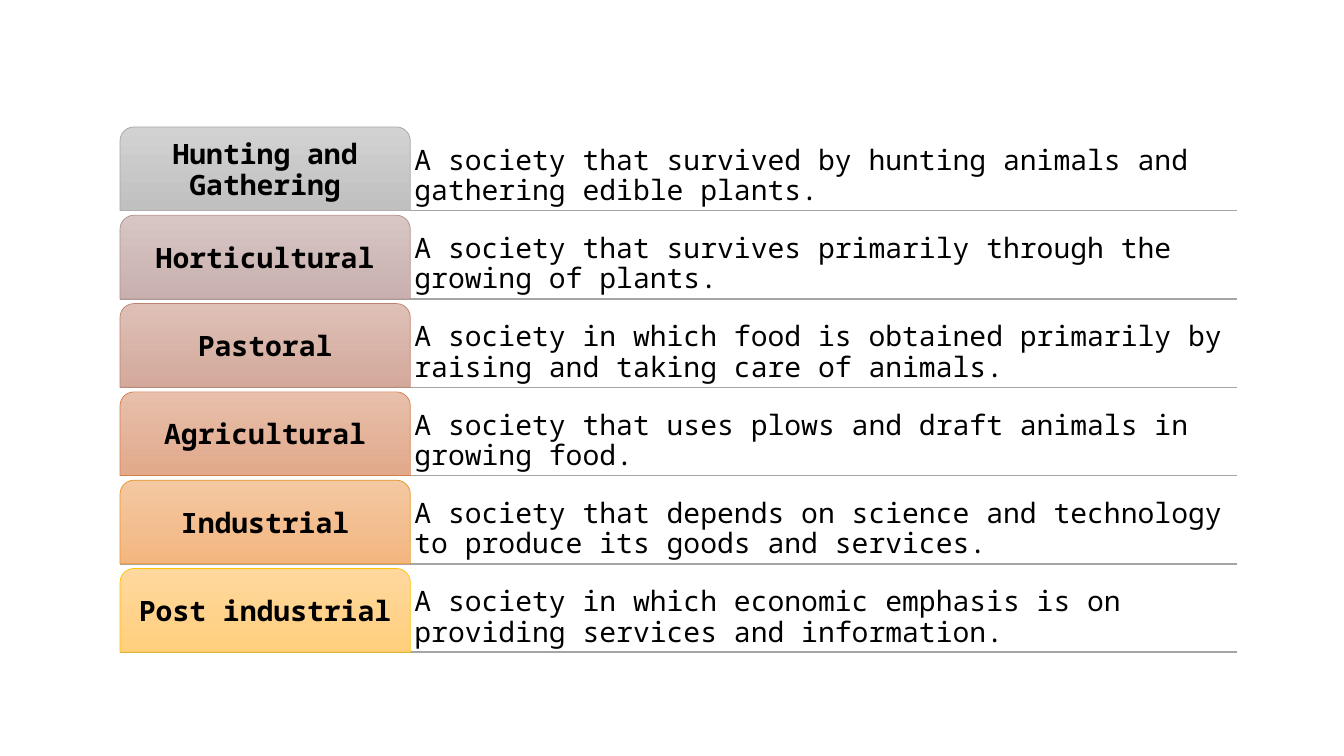
from pptx import Presentation
from pptx.dml.color import RGBColor
from pptx.enum.shapes import MSO_CONNECTOR, MSO_SHAPE
from pptx.enum.text import MSO_ANCHOR, PP_ALIGN
from pptx.oxml.ns import qn
from pptx.util import Inches, Pt
from lxml import etree

BLACK = RGBColor(0x00, 0x00, 0x00)
GRAY = RGBColor(0xA5, 0xA5, 0xA5)

# Name, definition, gradient top, gradient bottom, outline
SOCIETIES = [
    ("Hunting and Gathering",
     "A society that survived by hunting animals and gathering edible plants.",
     RGBColor(0xD2, 0xD2, 0xD2), RGBColor(0xC0, 0xC0, 0xC0), GRAY),
    ("Horticultural",
     "A society that survives primarily through the growing of plants.",
     RGBColor(0xD7, 0xC6, 0xC4), RGBColor(0xC9, 0xB0, 0xAE), RGBColor(0xB1, 0x90, 0x8A)),
    ("Pastoral",
     "A society in which food is obtained primarily by raising and taking care of animals.",
     RGBColor(0xDE, 0xC0, 0xB7), RGBColor(0xD4, 0xA9, 0x9B), RGBColor(0xC0, 0x80, 0x6C)),
    ("Agricultural",
     "A society that uses plows and draft animals in growing food.",
     RGBColor(0xE7, 0xBF, 0xAB), RGBColor(0xE2, 0xA9, 0x8B), RGBColor(0xD2, 0x7E, 0x4B)),
    ("Industrial",
     "A society that depends on science and technology to produce its goods and services.",
     RGBColor(0xF4, 0xC8, 0xA2), RGBColor(0xF3, 0xB6, 0x80), RGBColor(0xE7, 0x96, 0x27)),
    ("Post industrial",
     "A society in which economic emphasis is on providing services and information.",
     RGBColor(0xFF, 0xD8, 0x9E), RGBColor(0xFF, 0xCF, 0x7C), RGBColor(0xFF, 0xC0, 0x00)),
]

LEFT, TOP, RIGHT = 1.19, 1.26, 12.27
TAB_W, ROW_H, PITCH = 2.88, 0.83, 0.876


def write(sp, text, anchor, align, bold):
    tf = sp.text_frame
    tf.word_wrap = True
    tf.vertical_anchor = anchor
    tf.margin_left = tf.margin_right = Inches(0.04)
    tf.margin_top = tf.margin_bottom = Inches(0.04)
    p = tf.paragraphs[0]
    p.alignment = align
    p.line_spacing = 0.9
    r = p.add_run()
    r.text = text
    r.font.name = "Noto Sans Mono"
    r.font.size = Pt(20)
    r.font.bold = bold
    r.font.color.rgb = BLACK


prs = Presentation()
prs.slide_width, prs.slide_height = Inches(13.33), Inches(7.5)
s = prs.slides.add_slide(prs.slide_layouts[6])

for i, (name, definition, light, dark, outline) in enumerate(SOCIETIES):
    y = TOP + i * PITCH

    # Rule under the row
    base = Inches(y + ROW_H)
    rule = s.shapes.add_connector(MSO_CONNECTOR.STRAIGHT, Inches(LEFT), base, Inches(RIGHT), base)
    rule.line.color.rgb = GRAY
    rule.line.width = Pt(1)
    etree.SubElement(rule._element.spPr, qn("a:effectLst"))

    # Definition
    tb = s.shapes.add_textbox(Inches(LEFT + TAB_W), Inches(y),
                              Inches(RIGHT - LEFT - TAB_W), Inches(ROW_H))
    write(tb, definition, MSO_ANCHOR.BOTTOM, PP_ALIGN.LEFT, False)

    # Tab with the name of the society
    tab = s.shapes.add_shape(MSO_SHAPE.ROUND_2_SAME_RECTANGLE, Inches(LEFT), Inches(y),
                             Inches(TAB_W), Inches(ROW_H))
    tab.shadow.inherit = False
    tab.fill.gradient()
    tab.fill.gradient_angle = 270
    for stop, color in zip(tab.fill.gradient_stops, (light, dark)):
        stop.color.rgb = color
    tab.line.color.rgb = outline
    tab.line.width = Pt(0.5)
    write(tab, name, MSO_ANCHOR.MIDDLE, PP_ALIGN.CENTER, True)

prs.save("out.pptx")
